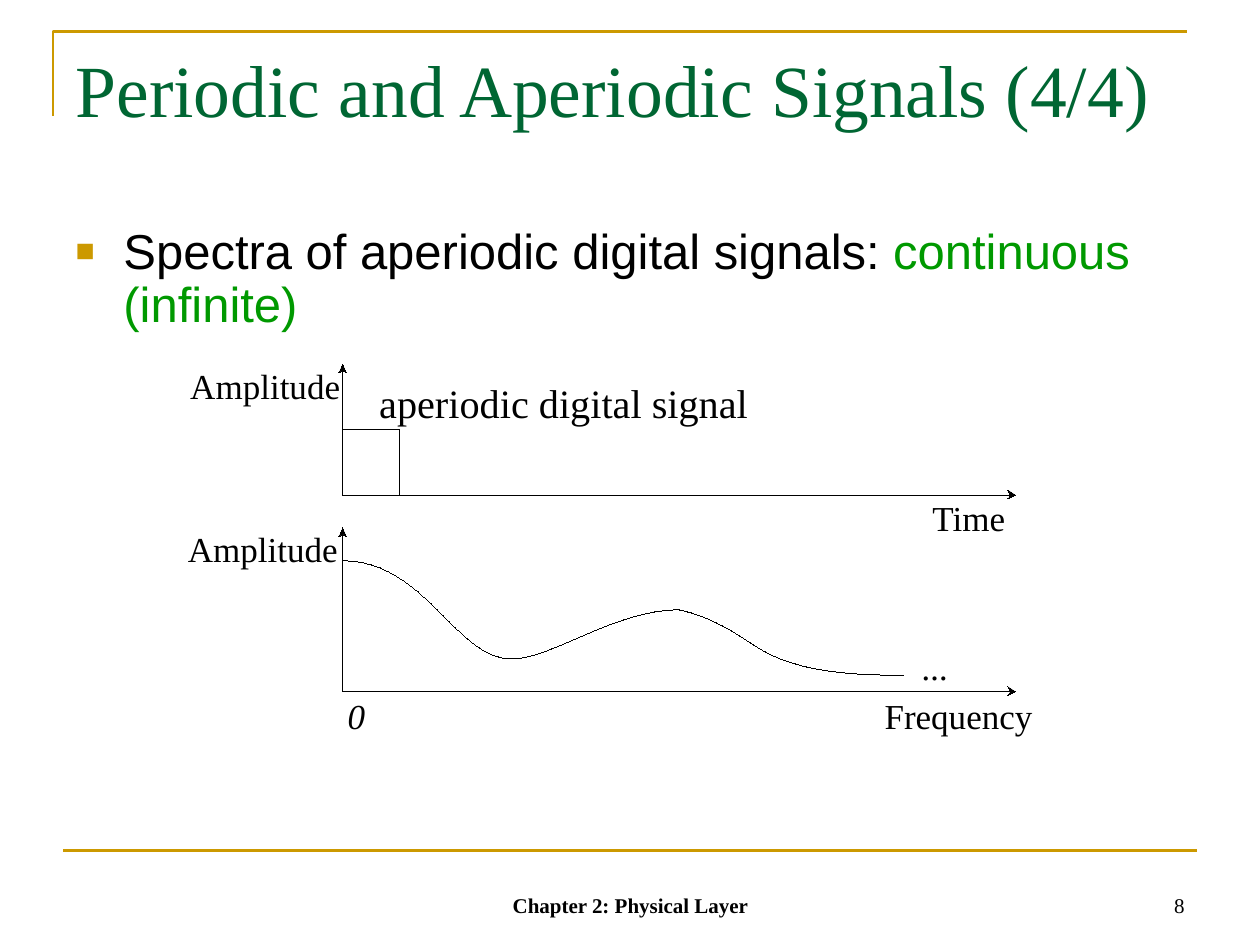
from dataclasses import dataclass

from lxml import etree
from pptx import Presentation
from pptx.dml.color import RGBColor
from pptx.enum.shapes import MSO_CONNECTOR
from pptx.enum.text import MSO_ANCHOR, MSO_AUTO_SIZE, PP_ALIGN
from pptx.oxml.ns import qn
from pptx.util import Inches, Pt

STRAIGHT = MSO_CONNECTOR.STRAIGHT
TOP, BOTTOM = MSO_ANCHOR.TOP, MSO_ANCHOR.BOTTOM
LEFT, CENTER, RIGHT = PP_ALIGN.LEFT, PP_ALIGN.CENTER, PP_ALIGN.RIGHT
FIT, FIXED = MSO_AUTO_SIZE.SHAPE_TO_FIT_TEXT, MSO_AUTO_SIZE.NONE

Point = tuple[float, float]
Box = tuple[float, float, float, float]


@dataclass(frozen=True)
class Theme:
    ink: str = "000000"
    gold: str = "CC9900"
    head: str = "006633"
    accent: str = "009900"
    serif: str = "Times New Roman"
    sans: str = "Arial"
    title: int = 42
    body: int = 28
    note: int = 23
    label: int = 20
    foot: int = 12
    rule: float = 1.5
    hair: float = 0


@dataclass(frozen=True)
class Label:
    text: str
    box: Box
    size: int
    italic: bool = False


@dataclass(frozen=True)
class Footer:
    text: str
    box: Box
    align: PP_ALIGN
    bold: bool = False


@dataclass(frozen=True)
class Axis:
    start: Point
    end: Point


THEME = Theme()
ZERO_X, END_X = 2.72, 8.06
TIME_Y, FREQ_Y = 3.93, 5.49

AXES = [
    Axis((ZERO_X, TIME_Y), (END_X, TIME_Y)),
    Axis((ZERO_X, TIME_Y), (ZERO_X, 2.89)),
    Axis((ZERO_X, FREQ_Y), (END_X, FREQ_Y)),
    Axis((ZERO_X, FREQ_Y), (ZERO_X, 4.19)),
]
LABELS = [
    Label("aperiodic digital signal", (3.01, 3, 2.96, 0.38), THEME.note),
    Label("Amplitude", (1.51, 2.89, 1.19, 0.33), THEME.label),
    Label("Amplitude", (1.49, 4.19, 1.19, 0.33), THEME.label),
    Label("0", (2.76, 5.51, 0.14, 0.33), THEME.label, True),
    Label("Time", (7.4, 3.94, 0.59, 0.33), THEME.label),
    Label("Frequency", (7.02, 5.51, 1.18, 0.33), THEME.label),
    Label("...", (7.32, 5.12, 0.21, 0.33), THEME.label, True),
]
FOOTERS = [
    Footer("8", (7.17, 6.83, 2.33, 0.5), RIGHT),
    Footer("Chapter 2: Physical Layer", (3.42, 6.83, 3.17, 0.5), CENTER, True),
]
CURVE = [
    [(ZERO_X, 4.45), (3.38, 4.45), (3.62, 5.23), (4.06, 5.23)],
    [(4.06, 5.23), (4.38, 5.23), (4.87, 4.84), (5.39, 4.84)],
    [(5.39, 4.84), (5.66, 4.9), (5.83, 5.02), (6, 5.13)],
    [(6, 5.13), (6.28, 5.31), (6.65, 5.36), (7.17, 5.36)],
]


def paint(font, size: float, color: str, face: str = THEME.serif) -> None:
    font.size = Pt(size)
    font.name = face
    font.color.rgb = RGBColor.from_string(color)


def place(shape, box: Box) -> None:
    shape.left, shape.top, shape.width, shape.height = map(Inches, box)


def stroke(line, color: str, width: float) -> None:
    line.color.rgb = RGBColor.from_string(color)
    shape_ln = line._get_or_add_ln()
    shape_ln.set("w", str(Pt(width)))


def draw_line(slide, start: Point, end: Point, color: str, width: float) -> None:
    line = slide.shapes.add_connector(STRAIGHT, *map(Inches, start + end))
    stroke(line.line, color, width)
    etree.SubElement(line._element.spPr, qn("a:effectLst"))


def draw_path(slide, points: list[Point], color: str = THEME.ink,
              width: float = THEME.hair, solid: bool = False) -> None:
    first, *rest = [(Inches(x), Inches(y)) for x, y in points]
    pen = slide.shapes.build_freeform(*first)
    pen.add_line_segments(rest, close=solid)
    shape = pen.convert_to_shape()
    shape.shadow.inherit = False
    stroke(shape.line, color, width)
    if solid:
        shape.fill.solid()
        shape.fill.fore_color.rgb = RGBColor.from_string(color)
    else:
        shape.fill.background()


def draw_axis(slide, axis: Axis) -> None:
    x, y = axis.end
    if axis.start[1] == y:
        notch = (x - 0.04, y)
        wings = [(x - 0.06, y + 0.03), (x - 0.06, y - 0.04)]
    else:
        notch = (x, y + 0.05)
        wings = [(x + 0.03, y + 0.07), (x - 0.03, y + 0.07)]
    draw_line(slide, axis.start, notch, THEME.ink, THEME.hair)
    draw_path(slide, [axis.end, wings[0], notch, wings[1]], solid=True)


def trace(parts: list[list[Point]], steps: int = 24) -> list[Point]:
    points = [parts[0][0]]
    for part in parts:
        for step in range(1, steps + 1):
            t = step / steps
            loads = ((1 - t) ** 3, 3 * t * (1 - t) ** 2, 3 * t * t * (1 - t), t ** 3)
            points.append(tuple(sum(w * p[i] for w, p in zip(loads, part))
                                for i in (0, 1)))
    return points


def add_label(slide, label: Label) -> None:
    frame = slide.shapes.add_textbox(*map(Inches, label.box)).text_frame
    frame.margin_left = frame.margin_right = 0
    frame.margin_top = frame.margin_bottom = 0
    frame.word_wrap = False
    frame.auto_size = FIT
    frame.text = label.text
    font = frame.paragraphs[0].runs[0].font
    paint(font, label.size, THEME.ink)
    font.italic = label.italic


def add_footer(slide, footer: Footer) -> None:
    frame = slide.shapes.add_textbox(*map(Inches, footer.box)).text_frame
    frame.word_wrap = True
    frame.vertical_anchor = BOTTOM
    frame.text = footer.text
    para = frame.paragraphs[0]
    para.alignment = footer.align
    paint(para.runs[0].font, THEME.foot, THEME.ink)
    para.runs[0].font.bold = footer.bold


def fill_title(shape) -> None:
    place(shape, (0.5, 0.3, 9, 1.25))
    frame = shape.text_frame
    frame.text = "Periodic and Aperiodic Signals (4/4)"
    frame.vertical_anchor = TOP
    frame.auto_size = FIXED
    para = frame.paragraphs[0]
    para.alignment = LEFT
    paint(para.runs[0].font, THEME.title, THEME.head)


def fill_body(shape) -> None:
    place(shape, (0.5, 1.75, 9, 4.95))
    frame = shape.text_frame
    frame.auto_size = FIXED
    para = frame.paragraphs[0]
    props = para._p.get_or_add_pPr()
    props.set("marL", str(Inches(0.38)))
    props.set("indent", str(-Inches(0.38)))
    tint = etree.SubElement(props, qn("a:buClr"))
    etree.SubElement(tint, qn("a:srgbClr"), val=THEME.gold)
    etree.SubElement(props, qn("a:buSzPct"), val="65000")
    etree.SubElement(props, qn("a:buFont"), typeface=THEME.sans)
    etree.SubElement(props, qn("a:buChar"), char="■")
    para.line_spacing = 0.9
    para.space_before = Pt(0)
    for text, color in (("Spectra of aperiodic digital signals: ", THEME.ink),
                        ("continuous (infinite)", THEME.accent)):
        run = para.add_run()
        run.text = text
        paint(run.font, THEME.body, color, THEME.sans)


def main() -> None:
    deck = Presentation()
    deck.slide_width, deck.slide_height = Inches(10), Inches(7.5)
    slide = deck.slides.add_slide(deck.slide_layouts[1])
    draw_path(slide, [(0.42, 0.92), (0.42, 0.25), (9.42, 0.25)], THEME.gold, THEME.rule)
    draw_line(slide, (0.5, 6.75), (9.5, 6.75), THEME.gold, THEME.rule)
    fill_title(slide.shapes.title)
    fill_body(slide.placeholders[1])
    for axis in AXES:
        draw_axis(slide, axis)
    draw_path(slide, trace(CURVE))
    draw_path(slide, [(ZERO_X, TIME_Y), (ZERO_X, 3.41), (3.17, 3.41), (3.17, TIME_Y)])
    for label in LABELS:
        add_label(slide, label)
    for footer in FOOTERS:
        add_footer(slide, footer)
    deck.save("out.pptx")


if __name__ == "__main__":
    main()
